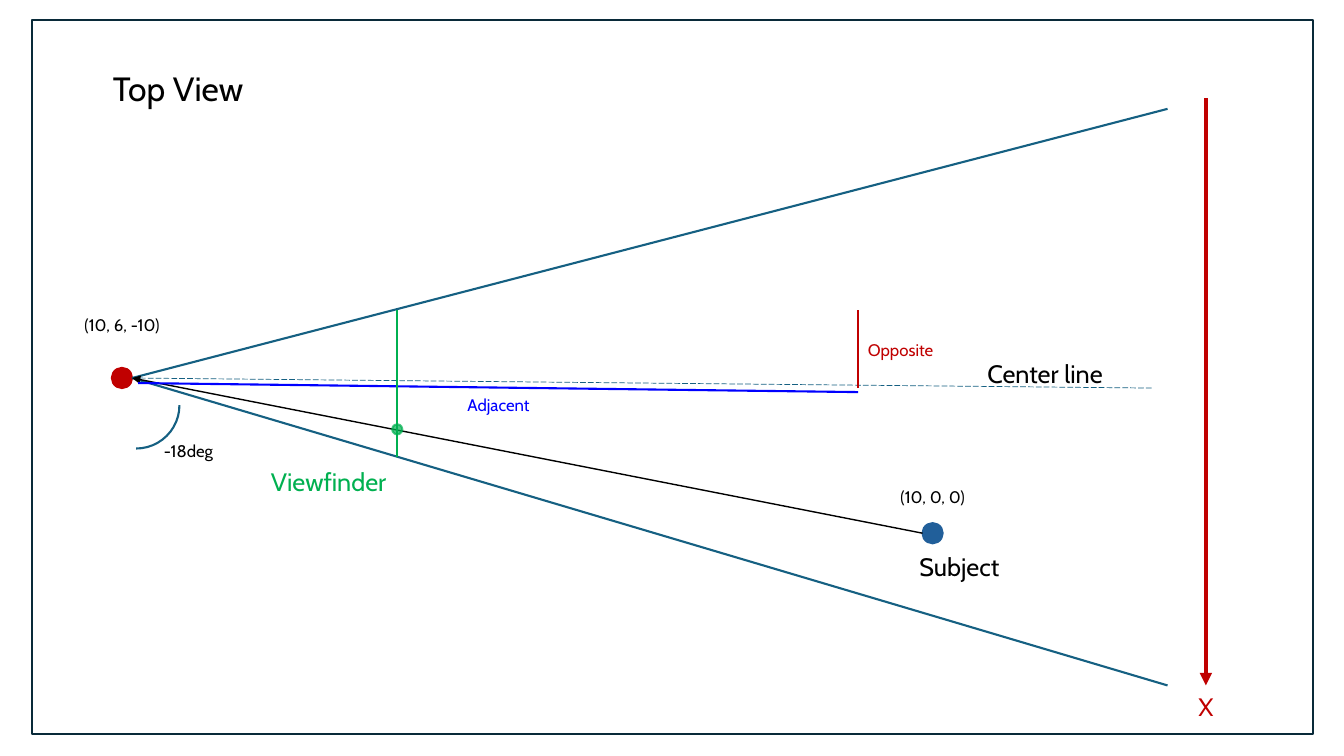
from pptx import Presentation
from pptx.dml.color import RGBColor
from pptx.enum.dml import MSO_LINE as Dash
from pptx.enum.shapes import MSO_CONNECTOR as Connector, MSO_SHAPE as Shape
from pptx.enum.text import MSO_ANCHOR as Anchor, MSO_AUTO_SIZE as AutoSize, PP_ALIGN as Align
from pptx.oxml.ns import qn
from pptx.util import Inches, Pt
from lxml.etree import SubElement

COLORS = {
    "white": "FFFFFF", "black": "000000", "frame": "092A39", "teal": "156082",
    "red": "C00000", "blue": "0000FF", "subject": "215F9A", "green": "00B050",
}
FONT = "Cabin"
TITLE_ONLY = 5


def rgb(name):
    return RGBColor.from_string(COLORS[name])


def write_text(shape, text, size=12, color="black", align=Align.CENTER):
    frame = shape.text_frame
    frame.word_wrap = True
    frame.auto_size = AutoSize.SHAPE_TO_FIT_TEXT
    frame.vertical_anchor = Anchor.TOP
    para = frame.paragraphs[0]
    para.alignment = align
    span = para.add_run()
    span.text = text
    span.font.name = FONT
    span.font.size = Pt(size)
    span.font.color.rgb = rgb(color)


class Diagram:
    def __init__(self, slide):
        self.slide = slide
        self.shapes = slide.shapes

    def title(self, text, left, top, width, height):
        box = self.shapes.title
        box.left, box.top = Inches(left), Inches(top)
        box.width, box.height = Inches(width), Inches(height)
        write_text(box, text, size=24, align=Align.LEFT)

    def label(self, text, left, top, width, height, **style):
        box = self.shapes.add_textbox(
            Inches(left), Inches(top), Inches(width), Inches(height))
        write_text(box, text, **style)

    def shape(self, kind, left, top, width, height, line, fill=None):
        shape = self.shapes.add_shape(
            kind, Inches(left), Inches(top), Inches(width), Inches(height))
        shape.shadow.inherit = False
        shape.line.color.rgb = rgb(line)
        shape.line.width = Pt(1.5)
        if fill:
            shape.fill.solid()
            shape.fill.fore_color.rgb = rgb(fill)
        else:
            shape.fill.background()
        return shape

    def frame(self, left, top, width, height):
        """Draw the border panel behind everything, the title included."""
        panel = self.shape(Shape.RECTANGLE, left, top, width, height, "frame", "white")
        self.shapes.element.insert_element_before(panel.element, "p:sp")
        self.shapes.element.insert(2, panel.element)

    def dot(self, center, size, color, opacity=100):
        x, y = center
        dot = self.shape(Shape.OVAL, x - size / 2, y - size / 2, size, size, color, color)
        if opacity < 100:
            for tint in dot.element.spPr.iter(qn("a:srgbClr")):
                SubElement(tint, qn("a:alpha"), val=str(opacity * 1000))

    def quarter_arc(self, left, top, size, color):
        """Draw the lower right quarter of a circle."""
        arc = self.shape(Shape.ARC, left, top, size, size, color)
        arc.adjustments[0] = 0
        arc.adjustments[1] = 54  # 90 degrees, in units of 100000/60000 degree

    def line(self, start, end, color, width=1.5, dash=None, arrow=False):
        """Draw a line; an arrowhead, if any, sits at its start."""
        line = self.shapes.add_connector(
            Connector.STRAIGHT, *[Inches(value) for value in (*start, *end)])
        line.line.color.rgb = rgb(color)
        line.line.width = Pt(width)
        if dash:
            line.line.dash_style = dash
        if arrow:
            SubElement(line.line._get_or_add_ln(), qn("a:headEnd"), type="triangle")
        SubElement(line.element.spPr, qn("a:effectLst"))


def main():
    deck = Presentation()
    deck.slide_width, deck.slide_height = Inches(13.33), Inches(7.5)
    view = Diagram(deck.slides.add_slide(deck.slide_layouts[TITLE_ONLY]))

    eye = (1.31, 3.75)
    subject = (9.25, 5.29)

    view.frame(0.32, 0.2, 12.7, 7.08)
    view.title("Top View", 1.02, 0.62, 4.09, 0.5)

    # Camera, field of view and x axis
    view.dot((1.21, 3.75), 0.2, "red")
    for edge in ((11.58, 1.08), (11.58, 6.8)):
        view.line(eye, edge, "teal")
    view.line(eye, (11.44, 3.85), "teal", width=0.5, dash=Dash.LONG_DASH)
    view.line((11.96, 6.8), (11.96, 0.97), "red", width=3, arrow=True)

    # Subject and its line of sight
    view.dot(subject, 0.2, "subject")
    view.line(eye, (9.15, 5.29), "black", width=1, arrow=True)

    # Triangle sides, viewfinder and angle
    view.line((1.37, 3.8), (8.51, 3.89), "blue")
    view.line((8.51, 3.85), (8.51, 3.08), "red")
    view.line((3.94, 3.08), (3.94, 4.53), "green")
    view.dot((3.94, 4.26), 0.1, "green", opacity=70)
    view.quarter_arc(0.92, 3.59, 0.86, "teal")

    view.label("Center line", 9.15, 3.51, 2.43, 0.4, size=18)
    view.label("X", 11.61, 6.81, 0.7, 0.4, size=18, color="red")
    view.label("Subject", 9.02, 5.42, 2.43, 0.4, size=18, align=Align.LEFT)
    view.label("Viewfinder", 2.36, 4.58, 1.57, 0.4, size=18, color="green", align=Align.RIGHT)
    view.label("Opposite", 8.51, 3.32, 2.43, 0.3, color="red", align=Align.LEFT)
    view.label("Adjacent", 3.73, 3.87, 2.43, 0.3, color="blue")
    view.label("-18deg", 1.4, 4.32, 0.94, 0.31)
    view.label("(10, 6, -10)", 0.6, 3.07, 1.22, 0.3)
    view.label("(10, 0, 0)", 8.64, 4.78, 1.22, 0.3)

    deck.save("out.pptx")


if __name__ == "__main__":
    main()
